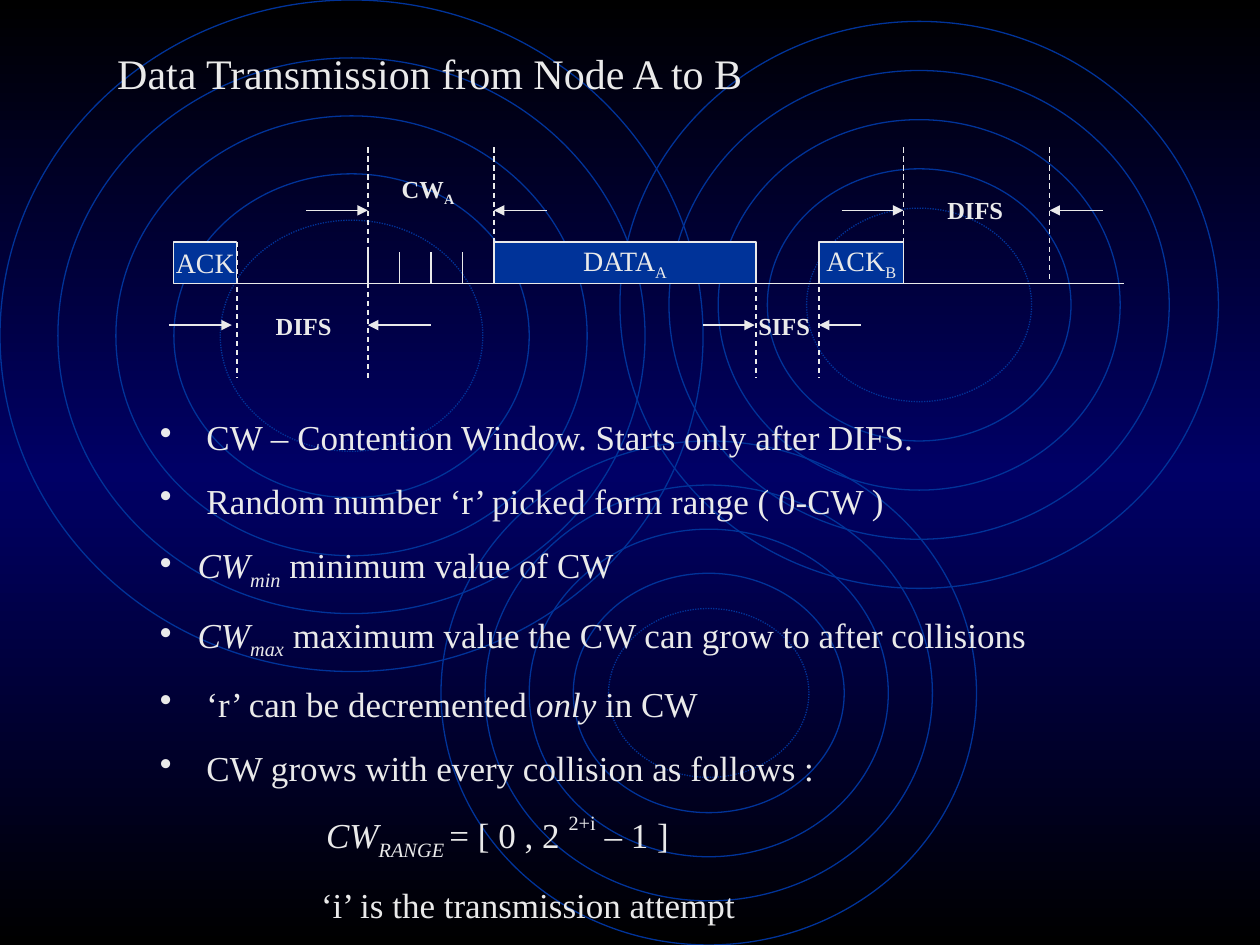
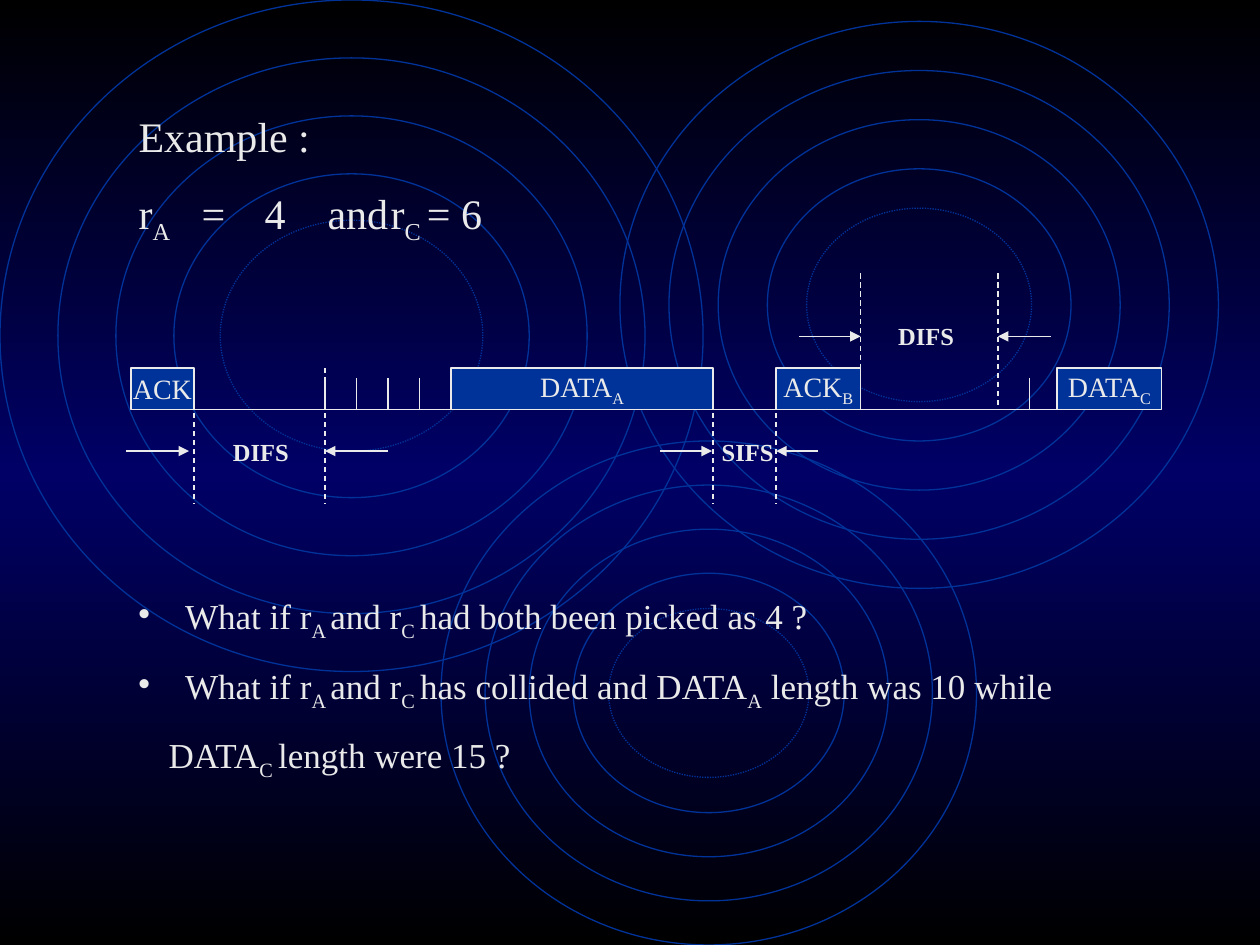
from copy import deepcopy
from dataclasses import dataclass
from lxml.etree import SubElement as Sub
from pptx import Presentation
from pptx.dml.color import RGBColor as RGB
from pptx.enum.dml import MSO_LINE as Dash
from pptx.enum.shapes import MSO_CONNECTOR as Link, MSO_SHAPE as Kind
from pptx.enum.text import MSO_ANCHOR as Anchor, MSO_AUTO_SIZE as Fit, PP_ALIGN as Align
from pptx.oxml.ns import qn
from pptx.util import Inches, Pt


@dataclass(frozen=True)
class Theme:
    font: str = "Times New Roman"
    ink: RGB = RGB(0xEA, 0xEA, 0xEA)
    blue: RGB = RGB(0x00, 0x33, 0x99)
    glow: RGB = RGB(0x00, 0x00, 0x66)
    night: RGB = RGB(0, 0, 0)
    head: int = 24
    body: int = 20
    block: int = 16
    label: int = 14
    line: float = 0.75


T = Theme()
BASE = {"_": "-25000", "^": "50000"}
RINGS = [
    (0, 0, 5.58, 5.33, 0.46),
    (3.5, 3.5, 4.25, 4, 0.35),
    (4.92, 0.17, 4.75, 4.5, 0.39),
]
ACK, DIFS, DATA, SIFS, REPLY, REST = 0.5, 1.54, 2.54, 4.62, 5.12, 5.79
HIGH, TOP, TICK, AXIS, LOW, FOOT = 0.5, 0.75, 0.83, 1.08, 1.41, 1.83
STEP = 0.25


def inch(*nums):
    return [Inches(n) for n in nums]


def style(para, size, bold=None):
    font = para.font
    font.name, font.size, font.bold = T.font, Pt(size), bold
    font.color.rgb = T.ink


def write(para, runs):
    for text, mark in runs:
        run = para.add_run()
        run.text = text
        if "/" in mark:
            run.font.italic = True
        for key in BASE:
            if key in mark:
                run.font._element.set("baseline", BASE[key])


def fill(frame, rows, size, gap=0, bold=None, align=Align.LEFT):
    for num, (runs, left, dot, tabs) in enumerate(rows):
        para = frame.paragraphs[0] if num == 0 else frame.add_paragraph()
        para.alignment = align
        if num:
            para.space_before = Pt(gap)
        props = para._p.get_or_add_pPr()
        props.set("marL", str(Inches(left)))
        props.set("indent", str(-Inches(left) if dot else 0))
        if dot:
            Sub(props, qn("a:buChar"), char="•")
        if tabs:
            stops = Sub(props, qn("a:tabLst"))
            for tab in tabs:
                Sub(stops, qn("a:tab"), pos=str(Inches(tab)), algn="l")
        style(para, size, bold)
        write(para, runs)


def row(*runs, left=0, dot=False, tabs=()):
    return runs, left, dot, tabs


def title(slide, box, rows):
    shape = slide.shapes.title
    shape.left, shape.top, shape.width, shape.height = inch(*box)
    frame = shape.text_frame
    frame.auto_size, frame.word_wrap = Fit.NONE, True
    frame.vertical_anchor = Anchor.TOP
    fill(frame, rows, T.head, 15)


def note(slide, box, rows, size, gap=0, bold=None):
    frame = slide.shapes.add_textbox(*inch(*box)).text_frame
    frame.word_wrap = True
    fill(frame, rows, size, gap, bold)


def stroke(slide, x1, y1, x2, y2, dash=False, arrow=False):
    line = slide.shapes.add_connector(Link.STRAIGHT, *inch(x1, y1, x2, y2))
    line.line.color.rgb, line.line.width = T.ink, Pt(T.line)
    if dash:
        line.line.dash_style = Dash.DASH
    if arrow:
        Sub(line.line._get_or_add_ln(), qn("a:tailEnd"), type="triangle")
    Sub(line._element.spPr, qn("a:effectLst"))


def block(slide, box, name, node=""):
    rect = slide.shapes.add_shape(Kind.RECTANGLE, *inch(*box))
    rect.shadow.inherit = False
    rect.fill.solid()
    rect.fill.fore_color.rgb = T.blue
    rect.line.color.rgb, rect.line.width = T.ink, Pt(T.line)
    frame = rect.text_frame
    frame.word_wrap, frame.vertical_anchor = False, Anchor.MIDDLE
    runs = [(name, "")] + ([(node, "_")] if node else [])
    fill(frame, [row(*runs)], T.block, align=Align.CENTER)


def span(slide, left, right, y, tails):
    for tip, tail in ((left, -tails[0]), (right, tails[1])):
        stroke(slide, tip + tail, y, tip, y, arrow=True)


def label(slide, x, y, *runs):
    note(slide, (x, y, 0.67, 0.34), [row(*runs)], T.label, bold=True)


def chart(slide, box, rest, shift, window=False, last=False):
    x, y = box
    stroke(slide, x + 0.12, y + AXIS, x + 7.54, y + AXIS)
    ticks = [DIFS + STEP * n for n in range(4)] + ([rest + STEP] if last else [])
    for tick in ticks:
        stroke(slide, x + tick, y + AXIS, x + tick, y + TICK)
    blocks = [(0, ACK, "ACK", ""), (DATA, SIFS, "DATA", "A"), (REPLY, REST, "ACK", "B")]
    if last:
        blocks.append((7.35, 8.18, "DATA", "C"))
    for left, right, name, node in blocks:
        block(slide, (x + left, y + TOP, right - left, AXIS - TOP), name, node)
    guides = [(ACK, TOP, FOOT), (DIFS, 0 if window else TOP, FOOT),
              (SIFS, TOP, FOOT), (REPLY, TOP, FOOT), (REST, 0, AXIS), (rest, 0, AXIS)]
    if window:
        guides.append((DATA, 0, AXIS))
        span(slide, x + DIFS, x + DATA, y + HIGH, (0.49, 0.42))
        label(slide, x + 1.71, y + 0.16, ("CW", ""), ("A", "_"))
    for at, top, foot in guides:
        stroke(slide, x + at, y + top, x + at, y + foot, dash=True)
    span(slide, x + ACK - 0.04, x + DIFS, y + LOW, (0.5, 0.5))
    span(slide, x + SIFS - 0.01, x + REPLY, y + LOW, (0.41, 0.33))
    span(slide, x + REST, x + rest, y + HIGH, (0.49, 0.42))
    label(slide, x + 0.71, y + 1.25, ("DIFS", ""))
    label(slide, x + 4.54 + shift, y + 1.25, ("SIFS", ""))
    label(slide, x + 6.04 - shift, y + 0.33, ("DIFS", ""))


def backdrop(deck, slide):
    master = deck.slide_master
    paint = master.background.fill
    paint.gradient()
    paint.gradient_angle = 90
    stops = next(master.element.iter(qn("a:gsLst")))
    stops.insert(1, deepcopy(stops[0]))
    for stop, tone, at in zip(paint.gradient_stops, (T.night, T.glow, T.night), (0, 0.5, 1)):
        stop.color.rgb, stop.position = tone, at
    group = slide.shapes.add_group_shape()
    for x, y, wide, high, step in RINGS:
        for num in range(5):
            inset = step * (num if num < 4 else 3.8)
            ring = group.shapes.add_shape(Kind.OVAL, *inch(
                x + inset, y + inset, wide - 2 * inset, high - 2 * inset))
            ring.shadow.inherit = False
            ring.fill.background()
            ring.line.color.rgb, ring.line.width = T.blue, Pt(T.line)
            if num == 4:
                ring.line.dash_style = Dash.ROUND_DOT
    for num, item in enumerate(group._element.iter(qn("p:cNvPr")), 100):
        item.set("id", str(num))
    master.element.cSld.spTree.insert(2, group._element)


def sending(slide):
    title(slide, (0.83, 0.33, 5.42, 0.5), [row(("Data Transmission from Node A to B", ""))])
    chart(slide, (1.38, 1.17), 6.95, 0, window=True)
    far, near = {"left": 0.37, "dot": True}, {"left": 0.3, "dot": True}
    note(slide, (1.17, 3.25, 7.83, 4.14), [
        row(("CW – Contention Window. Starts only after DIFS.", ""), **far),
        row(("Random number ‘r’ picked form range ( 0-CW )", ""), **far),
        row(("CW", "/"), ("min", "/_"), (" minimum value of CW", ""), **near),
        row(("CW", "/"), ("max", "/_"),
            (" maximum value the CW can grow to after collisions", ""), **near),
        row(("‘r’ can be decremented ", ""), ("only", "/"), (" in CW", ""), **far),
        row(("CW grows with every collision as follows :", ""), **far),
        row(("CW", "/"), ("RANGE ", "/_"), ("= [ 0 , 2 ", ""), ("2+i", "^"),
            (" – 1 ]", ""), left=1.32),
        row(("‘i’ is the transmission attempt", ""), left=1.28),
    ], T.body, 12.5)


def example(slide):
    title(slide, (1, 0.83, 5.75, 1.17), [
        row(("Example :", "")),
        row(("r", ""), ("A", "_"), ("\t=\t4\tand\tr", ""), ("C ", "_"), ("= 6", ""),
            tabs=(0.34, 0.69, 1.1, 1.75)),
    ])
    chart(slide, (1.04, 2.17), 6.88, 0.05, last=True)
    ask = [("What if r", ""), ("A ", "_"), ("and r", ""), ("C ", "_")]
    note(slide, (1, 4.67, 7.58, 1.59), [
        row(*ask, ("had both been picked as 4 ?", ""), left=0.37, dot=True),
        row(*ask, ("has collided and DATA", ""), ("A", "_"), (" length was 10 while", ""),
            left=0.37, dot=True),
        row(("DATA", ""), ("C ", "_"), ("length were 15 ?", ""), left=0.24),
    ], T.body, 12.5)


def main():
    deck = Presentation()
    deck.slide_width, deck.slide_height = inch(10, 7.5)
    for num, build in enumerate((sending, example)):
        slide = deck.slides.add_slide(deck.slide_layouts[5])
        if num == 0:
            backdrop(deck, slide)
        build(slide)
    deck.save("out.pptx")


if __name__ == "__main__":
    main()
